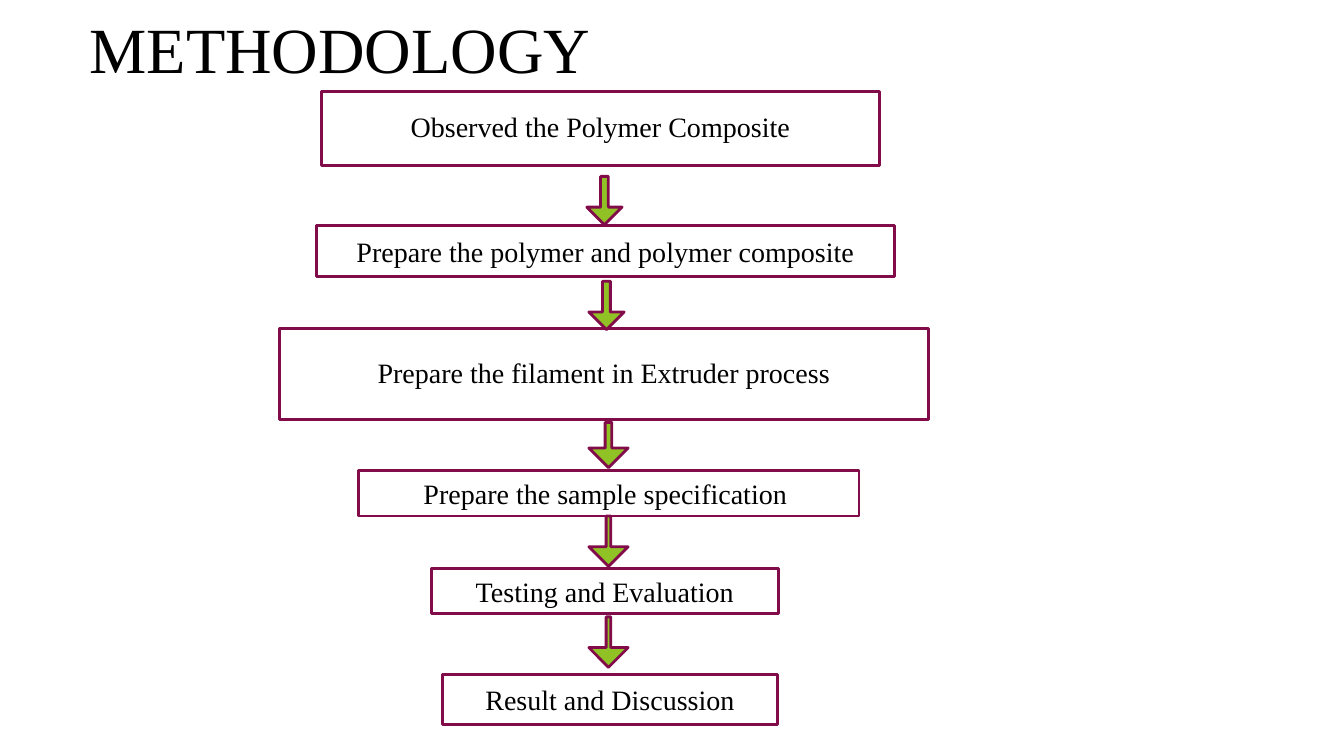
from pptx import Presentation
from pptx import util as u
from pptx.dml.color import RGBColor
from pptx.enum import shapes, text

COLOURS = {"ink": "000000", "paper": "FFFFFF", "border": "820C4A", "arrow": "90C226"}
FONT = "Times New Roman"

# label, (left, top, width, height), line spacing
STEPS = [
    ("Observed the Polymer Composite", (3.19, 0.91, 5.53, 0.73), 0.9),
    ("Prepare the polymer and polymer composite", (3.14, 2.24, 5.73, 0.5), 1.0),
    ("Prepare the filament in Extruder process", (2.77, 3.26, 6.44, 0.9), 0.9),
    ("Prepare the sample specification ", (3.56, 4.67, 4.96, 0.45), 1.0),
    ("Testing and Evaluation", (4.28, 5.64, 3.44, 0.45), 1.0),
    ("Result and Discussion", (4.39, 6.69, 3.32, 0.5), 1.0),
]

# (left, top, width, height), shaft share of the width
ARROWS = [
    ((5.82, 1.75, 0.35, 0.48), 0.22),
    ((5.84, 2.79, 0.35, 0.48), 0.22),
    ((5.84, 4.19, 0.39, 0.45), 0.17),
    ((5.84, 5.12, 0.39, 0.5), 0.12),
    ((5.84, 6.12, 0.39, 0.5), 0.12),
]


class FlowPage:
    def __init__(self, page):
        self.page = page

    def colour(self, name):
        return RGBColor.from_string(COLOURS[name])

    def add_words(self, box, words, size):
        para = box.text_frame.paragraphs[0]
        span = para.add_run()
        span.text = words
        span.font.name = FONT
        span.font.size = u.Pt(size)
        span.font.color.rgb = self.colour("ink")
        return para

    def title(self, words, place):
        box = self.page.shapes.add_textbox(*map(u.Inches, place))
        box.text_frame.word_wrap = True
        self.add_words(box, words, 46)

    def outlined(self, kind, place, fill):
        shape = self.page.shapes.add_shape(kind, *map(u.Inches, place))
        shape.shadow.inherit = False
        shape.fill.solid()
        shape.fill.fore_color.rgb = self.colour(fill)
        shape.line.color.rgb = self.colour("border")
        shape.line.width = u.Pt(2)
        return shape

    def step(self, words, place, spacing):
        box = self.outlined(shapes.MSO_SHAPE.RECTANGLE, place, "paper")
        box.text_frame.word_wrap = True
        box.text_frame.vertical_anchor = text.MSO_ANCHOR.MIDDLE
        para = self.add_words(box, words, 20)
        para.alignment = text.PP_ALIGN.CENTER
        para.line_spacing = spacing

    def arrow(self, place, shaft):
        arrow = self.outlined(shapes.MSO_SHAPE.DOWN_ARROW, place, "arrow")
        arrow.adjustments[0] = shaft
        arrow.adjustments[1] = 0.5


def main():
    deck = Presentation()
    deck.slide_width, deck.slide_height = u.Inches(13.33), u.Inches(7.5)
    flow = FlowPage(deck.slides.add_slide(deck.slide_layouts[6]))
    flow.title("METHODOLOGY", (0.79, 0.04, 5.88, 0.88))
    for step in STEPS:
        flow.step(*step)
    for arrow in ARROWS:
        flow.arrow(*arrow)
    deck.save("out.pptx")


if __name__ == "__main__":
    main()
